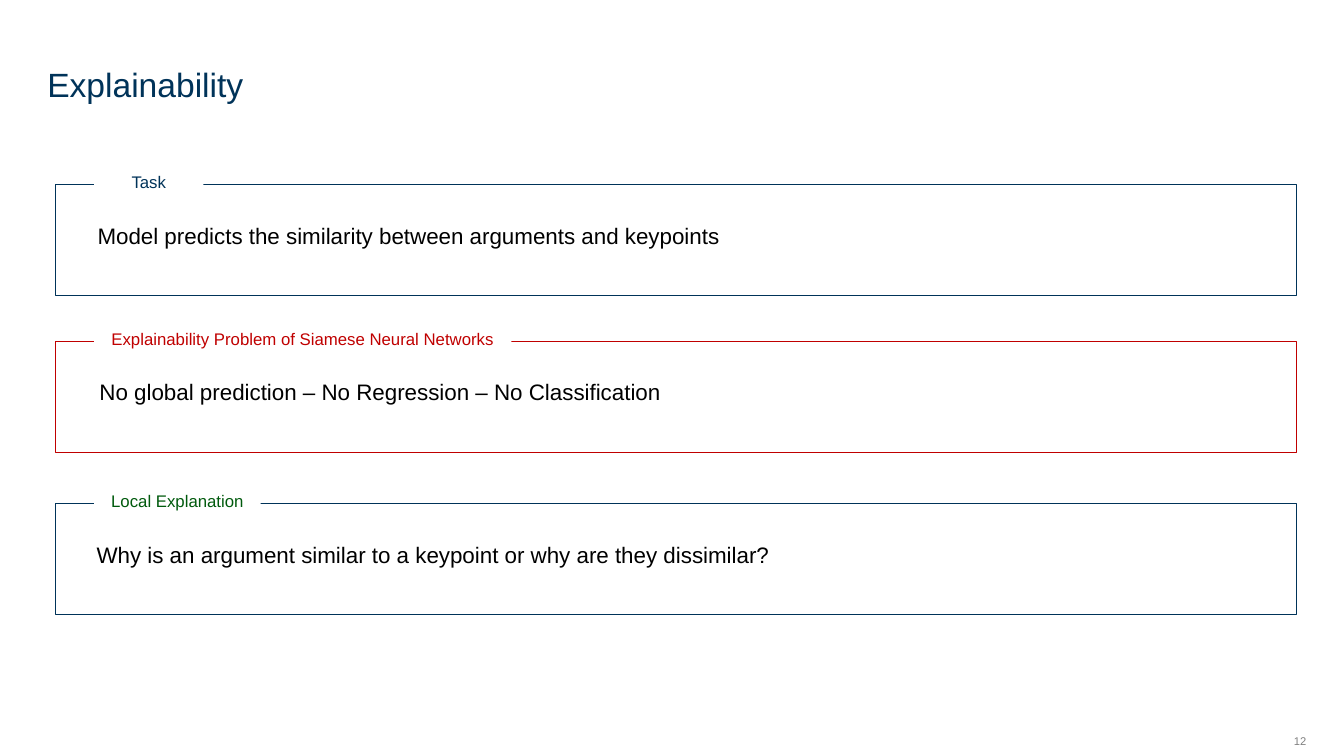
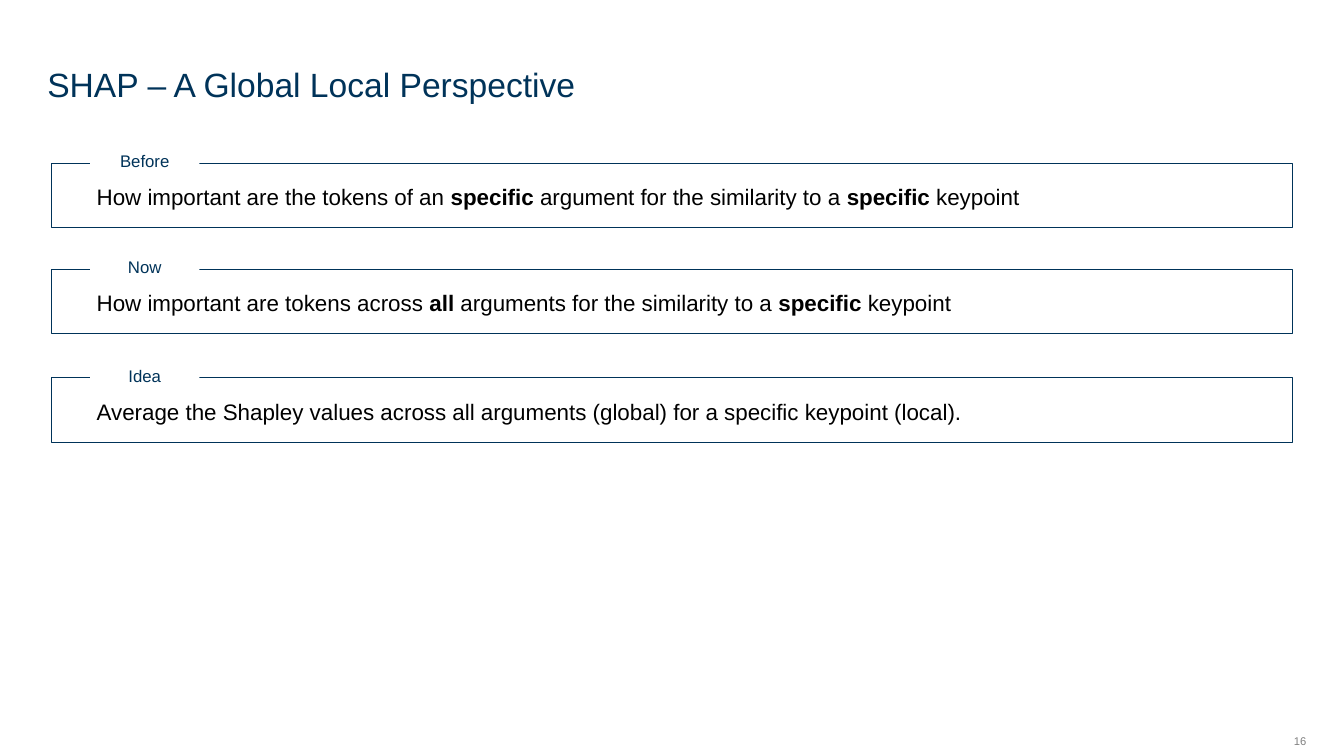
import pptx
import pptx.util
import pptx.dml.color
import pptx.enum.text
import pptx.enum.shapes

Pt = pptx.util.Pt
ALIGN = pptx.enum.text.PP_ALIGN
ANCHOR = pptx.enum.text.MSO_ANCHOR
RECT = pptx.enum.shapes.MSO_SHAPE.RECTANGLE

NAVY, RED, GREEN = "003359", "C00000", "005A0D"
BLACK, GRAY, WHITE = "000000", "808080", "FFFFFF"
FONT = "Arial"
WIDTH = 886.3

SLIDES = [
    {
        "title": "Explainability",
        "page": "12",
        "left": 39.6, "high": 79.2, "drop": 23,
        "cards": [
            ("Task", 78, NAVY, NAVY, 131.8, 62.6,
             "Model predicts the similarity between arguments and keypoints"),
            ("Explainability Problem of Siamese Neural Networks", 298, RED, RED, 243.8, 64,
             "No global prediction – No Regression – No Classification"),
            ("Local Explanation", 119, GREEN, NAVY, 359.7, 61.9,
             "Why is an argument similar to a keypoint or why are they dissimilar?"),
        ],
    },
    {
        "title": "SHAP – A Global Local Perspective",
        "page": "16",
        "left": 36.7, "high": 46, "drop": 10.8,
        "cards": [
            ("Before", 78, NAVY, NAVY, 116.6, 62,
             "How important are the tokens of an *specific* argument"
             " for the similarity to a *specific* keypoint"),
            ("Now", 78, NAVY, NAVY, 192.2, 62,
             "How important are tokens across *all* arguments"
             " for the similarity to a *specific* keypoint"),
            ("Idea", 78, NAVY, NAVY, 269.9, 62,
             "Average the Shapley values across all arguments (global)"
             " for a specific keypoint (local)."),
        ],
    },
]


def color(code):
    return pptx.dml.color.RGBColor.from_string(code)


def write(shape, text, size, code, align=ALIGN.LEFT, anchor=ANCHOR.TOP):
    frame = shape.text_frame
    frame.word_wrap = True
    frame.vertical_anchor = anchor
    para = frame.paragraphs[0]
    para.alignment = align
    for i, part in enumerate(text.split("*")):
        run = para.add_run()
        run.text = part
        run.font.name = FONT
        run.font.size = Pt(size)
        run.font.bold = i % 2 == 1
        run.font.color.rgb = color(code)


def add_box(group, left, top, width, high, fill=None, line=None):
    box = group.shapes.add_shape(RECT, Pt(left), Pt(top), Pt(width), Pt(high))
    box.shadow.inherit = False
    if fill:
        box.fill.solid()
        box.fill.fore_color.rgb = color(fill)
    else:
        box.fill.background()
    if line:
        box.line.color.rgb = color(line)
        box.line.width = Pt(0.75)
    else:
        box.line.fill.background()
    return box


def add_text(shapes, left, top, width, high):
    return shapes.add_textbox(Pt(left), Pt(top), Pt(width), Pt(high))


def add_card(slide, data, card):
    label, width, ink, edge, top, inset, text = card
    group = slide.shapes.add_group_shape()
    add_box(group, data["left"], top, WIDTH, data["high"], line=edge)
    tag = add_box(group, data["left"] + 27.7, top - 12.6, width, 21.8, fill=WHITE)
    write(tag, label, 12, ink, ALIGN.CENTER, ANCHOR.MIDDLE)
    body = add_text(group.shapes, inset, top + data["drop"], 836, 26.6)
    write(body, text, 16, BLACK)


def add_title(slide, text):
    title = slide.shapes.title
    title.left, title.top = Pt(26.6), Pt(1.4)
    title.width, title.height = Pt(833.8), Pt(73.4)
    frame = title.text_frame
    frame.margin_top = frame.margin_bottom = 0
    write(title, text, 24, NAVY, anchor=ANCHOR.BOTTOM)


def add_page(slide, text):
    page = add_text(slide.shapes, 907.2, 517.7, 26, 23)
    page.text_frame.margin_right = 0
    write(page, text, 8, GRAY, ALIGN.RIGHT, ANCHOR.MIDDLE)


def main():
    deck = pptx.Presentation()
    deck.slide_width, deck.slide_height = Pt(960), Pt(540)
    for data in SLIDES:
        slide = deck.slides.add_slide(deck.slide_layouts[5])
        add_title(slide, data["title"])
        add_page(slide, data["page"])
        for card in data["cards"]:
            add_card(slide, data, card)
    deck.save("out.pptx")


if __name__ == "__main__":
    main()
